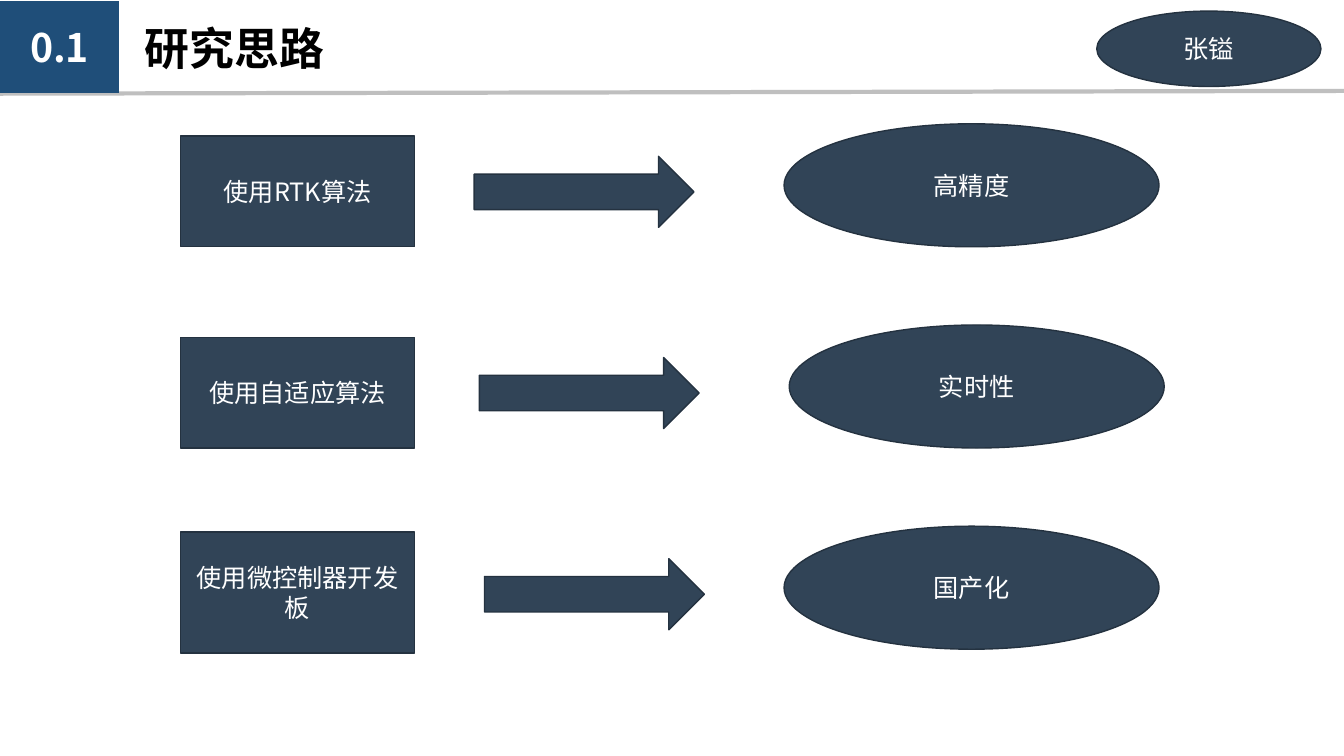
from pptx import Presentation
from pptx.dml.color import RGBColor
from pptx.enum.shapes import MSO_CONNECTOR, MSO_SHAPE
from pptx.enum.text import MSO_ANCHOR, MSO_AUTO_SIZE, PP_ALIGN
from pptx.oxml.ns import qn
from pptx.util import Cm, Pt
from lxml import etree

RECTANGLE, ELLIPSE = MSO_SHAPE.RECTANGLE, MSO_SHAPE.OVAL
ARROW = MSO_SHAPE.RIGHT_ARROW
STRAIGHT = MSO_CONNECTOR.STRAIGHT
LEFT, CENTER = PP_ALIGN.LEFT, PP_ALIGN.CENTER
TOP, MIDDLE = MSO_ANCHOR.TOP, MSO_ANCHOR.MIDDLE
NO_AUTOFIT = MSO_AUTO_SIZE.NONE

FONT = "Noto Sans CJK SC"
NAVY, OUTLINE, BLUE = "314457", "243240", "1F4E79"
WHITE, BLACK, GREY = "FFFFFF", "000000", "BFBFBF"

SLIDE_WIDTH, SLIDE_HEIGHT = 33.87, 19.05
ROW_PITCH = 5.07
ROW_BOX = (4.55, 3.12, 24.66, 3.1)
# method, result, method offset and height, arrow shift, result shift
ROWS = [
    ("使用RTK算法", "高精度", 0.31, 2.79, 0, 0),
    ("使用自适应算法", "实时性", 0.31, 2.79, 0.13, 0.13),
    ("使用微控制器开发板", "国产化", 0.15, 3.05, 0.26, 0),
]


def color(hex_string):
    """Turn a hex string into a colour."""
    return RGBColor.from_string(hex_string)


def write_text(shape, text, size, text_color, bold=False, align=CENTER, anchor=MIDDLE):
    """Write one formatted run into a shape."""
    frame = shape.text_frame
    frame.word_wrap = True
    frame.auto_size = NO_AUTOFIT
    frame.vertical_anchor = anchor
    paragraph = frame.paragraphs[0]
    paragraph.alignment = align
    run = paragraph.add_run()
    run.text = text
    run.font.size = Pt(size)
    run.font.bold = bold
    run.font.name = FONT
    run.font.color.rgb = color(text_color)
    east_asian = etree.SubElement(run.font._element, qn("a:ea"))
    east_asian.set("typeface", FONT)


def add_block(slide, kind, box, fill=NAVY, outline=OUTLINE):
    """Add a filled preset shape without shadow."""
    shape = slide.shapes.add_shape(kind, *map(Cm, box))
    shape.shadow.inherit = False
    shape.fill.solid()
    shape.fill.fore_color.rgb = color(fill)
    if outline:
        shape.line.color.rgb = color(outline)
        shape.line.width = Pt(1)
    else:
        shape.line.fill.background()
    return shape


def add_header(slide, box, number, title, author):
    """Place the rule, title, section number and author in the header box."""
    left, top, width, height = box
    bottom = top + height
    rule = slide.shapes.add_connector(
        STRAIGHT, Cm(left - 0.05), Cm(bottom + 0.02),
        Cm(left + width + 0.02), Cm(bottom - 0.05))
    rule.line.color.rgb = color(GREY)
    rule.line.width = Pt(3)
    etree.SubElement(rule._element.spPr, qn("a:effectLst"))

    heading = slide.shapes.title
    heading.left, heading.top = Cm(left + 3.4), Cm(top + 0.36)
    heading.width, heading.height = Cm(18.52), Cm(1.63)
    write_text(heading, title, 32, BLACK, bold=True, align=LEFT, anchor=TOP)

    badge = add_block(slide, RECTANGLE, (left, top, 3, height), BLUE, None)
    write_text(badge, number, 28, WHITE, bold=True)
    name = add_block(slide, ELLIPSE, (left + width - 6.23, top + 0.25, 5.65, 1.9))
    write_text(name, author, 18, WHITE)


def add_row(slide, box, method, result, offset, method_height, arrow_shift, result_shift):
    """Place a method, an arrow and its result in the row box."""
    left, top, width, height = box
    result_width = 9.45
    result_left = left + width - result_width + result_shift
    source = add_block(slide, RECTANGLE, (left, top + offset, 5.9, method_height))
    write_text(source, method, 18, WHITE)
    target = add_block(slide, ELLIPSE, (result_left, top, result_width, height))
    write_text(target, result, 18, WHITE)
    add_block(slide, ARROW, (left + 7.4 + arrow_shift, top + 0.82, 5.54, 1.79))


def build():
    """Build and save the presentation."""
    presentation = Presentation()
    presentation.slide_width = Cm(SLIDE_WIDTH)
    presentation.slide_height = Cm(SLIDE_HEIGHT)
    slide = presentation.slides.add_slide(presentation.slide_layouts[5])
    add_header(slide, (0, 0.03, SLIDE_WIDTH, 2.31), "0.1", "研究思路", "张镒")
    left, top, width, height = ROW_BOX
    for index, row in enumerate(ROWS):
        add_row(slide, (left, top + index * ROW_PITCH, width, height), *row)
    presentation.save("out.pptx")


build()
